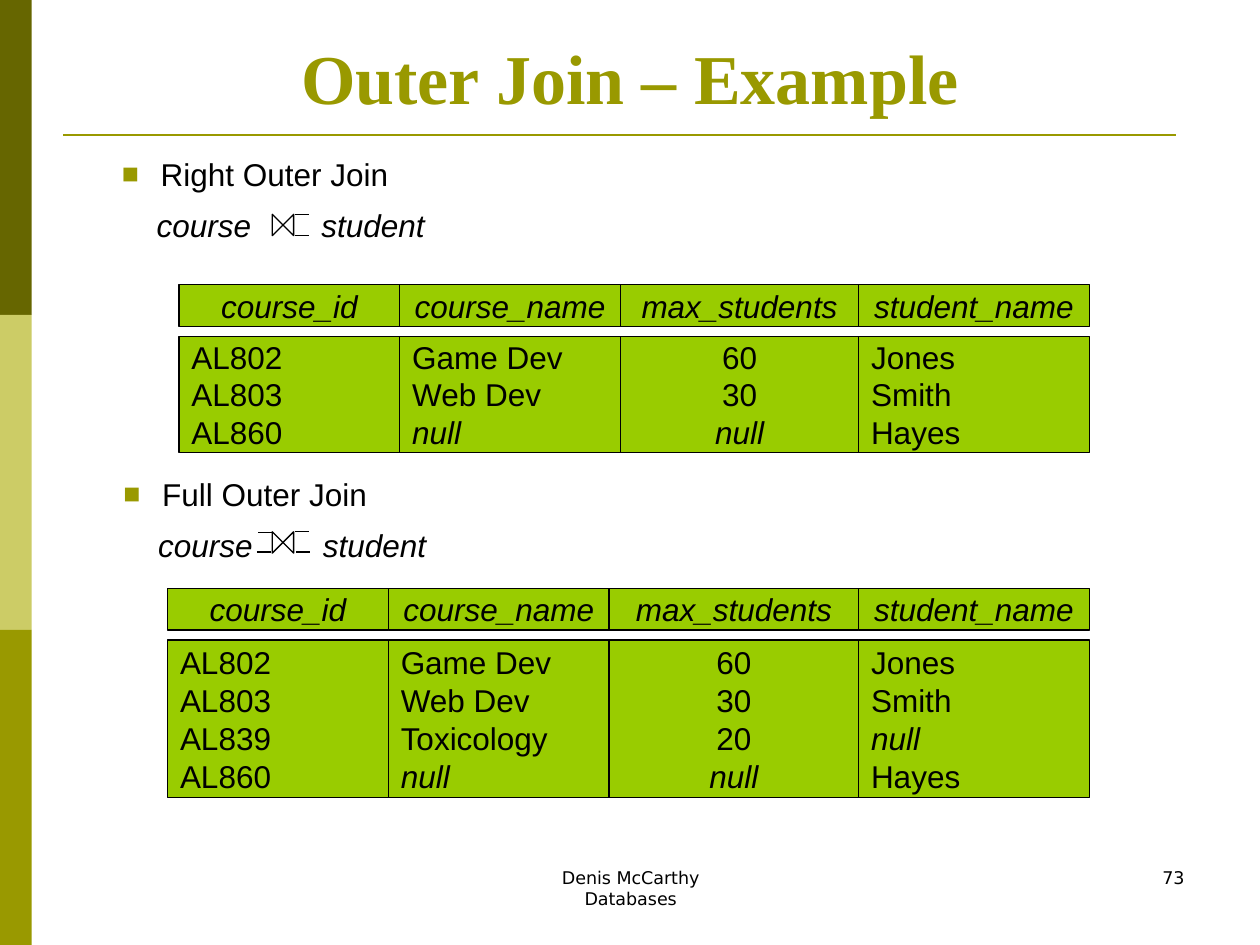
from lxml import etree
from pptx import Presentation
from pptx.dml.color import RGBColor
from pptx.enum import shapes, text
from pptx.oxml.ns import qn
from pptx.util import Cm, Pt

COLOURS = {"dark": "666600", "pale": "CCCC66", "olive": "999900",
           "cell": "99CC00", "ink": "000000"}
TITLE = "Outer Join – Example"
HEADINGS = ["course_id", "course_name", "max_students", "student_name"]
CENTRED_HEADING = "max_students"

# Lengths are in centimetres; each arm is the (left, y) of a short stroke.
JOINS = [
    {"name": "Right Outer Join", "at": (2.21, 3.0), "bowtie_top": 4.32,
     "arms": [(5.94, 4.32), (5.94, 4.75)],
     "table_at": (3.61, 5.74), "widths": [4.45, 4.45, 4.8, 4.65],
     "rows": [("AL802", "Game Dev", "60", "Jones"),
              ("AL803", "Web Dev", "30", "Smith"),
              ("AL860", "null", "null", "Hayes")]},
    {"name": "Full Outer Join", "at": (2.24, 9.45), "bowtie_top": 10.72,
     "arms": [(5.21, 10.74), (5.18, 11.13), (5.94, 10.72), (5.97, 11.13)],
     "table_at": (3.38, 11.86), "widths": [4.45, 4.45, 5.03, 4.65],
     "rows": [("AL802", "Game Dev", "60", "Jones"),
              ("AL803", "Web Dev", "30", "Smith"),
              ("AL839", "Toxicology", "20", "null"),
              ("AL860", "null", "null", "Hayes")]},
]
FOOTERS = [
    (["Denis McCarthy", "Databases"], (8.69, 17.35, 8.05, 1.27), "CENTER"),
    (["73"], (18.21, 17.35, 5.92, 1.27), "RIGHT"),
]
HEADER_HEIGHT, BODY_OFFSET, ROW_HEIGHT = 0.84, 1.04, 0.84
BOWTIE_LEFT, BOWTIE_SIZE, ARM = 5.49, 0.43, 0.28
BULLET_INDENT, EXPRESSION_TABS = 0.78, (0.7, 4.02)


def colour(name):
    return RGBColor.from_string(COLOURS[name])


def write(frame, lines, size=18, font="Arial", ink="ink", align="LEFT",
          anchor="TOP", bold=False, italics=(), wrap=True):
    """Fill a text frame, one paragraph a line; lines in italics are slanted."""
    frame.word_wrap = wrap
    frame.auto_size = text.MSO_AUTO_SIZE.NONE
    frame.vertical_anchor = text.MSO_ANCHOR[anchor]
    for i, line in enumerate(lines):
        paragraph = frame.add_paragraph() if i else frame.paragraphs[0]
        paragraph.alignment = text.PP_ALIGN[align]
        run = paragraph.add_run()
        run.text = line
        run.font.size, run.font.name = Pt(size), font
        run.font.bold, run.font.italic = bold, line in italics
        run.font.color.rgb = colour(ink)


def add_box(parent, kind, box, fill=None, outline=None):
    shape = parent.add_shape(shapes.MSO_SHAPE[kind], *map(Cm, box))
    shape.shadow.inherit = False
    if fill:
        shape.fill.solid()
        shape.fill.fore_color.rgb = colour(fill)
    else:
        shape.fill.background()
    if outline:
        shape.line.color.rgb = colour(outline)
        shape.line.width = Pt(0.75)
    else:
        shape.line.fill.background()
    return shape


def add_stroke(parent, left, y, length, ink="ink", width=0.75):
    stroke = parent.add_connector(shapes.MSO_CONNECTOR.STRAIGHT,
                                  Cm(left), Cm(y), Cm(left + length), Cm(y))
    stroke.line.color.rgb = colour(ink)
    stroke.line.width = Pt(width)
    etree.SubElement(stroke._element.spPr, qn("a:effectLst"))


def add_bullet(paragraph):
    props = paragraph._p.get_or_add_pPr()
    props.set("marL", str(Cm(BULLET_INDENT)))
    props.set("indent", str(-Cm(BULLET_INDENT)))
    tint = etree.SubElement(props, qn("a:buClr"))
    etree.SubElement(tint, qn("a:srgbClr"), val=COLOURS["olive"])
    etree.SubElement(props, qn("a:buSzPct"), val="90000")
    etree.SubElement(props, qn("a:buFont"), typeface="Arial")
    etree.SubElement(props, qn("a:buChar"), char="■")


def add_tabs(paragraph, stops):
    tabs = etree.SubElement(paragraph._p.get_or_add_pPr(), qn("a:tabLst"))
    for stop in stops:
        etree.SubElement(tabs, qn("a:tab"), pos=str(Cm(stop)), algn="l")


def add_relation(slide, join):
    """Draw each column as a heading box above a box with all its values."""
    group = slide.shapes.add_group_shape().shapes
    left, top = join["table_at"]
    body_height = ROW_HEIGHT * len(join["rows"]) - 0.18
    for heading, width, values in zip(HEADINGS, join["widths"], zip(*join["rows"])):
        header = add_box(group, "RECTANGLE", (left, top, width, HEADER_HEIGHT),
                         "cell", "ink")
        write(header.text_frame, [heading], align="CENTER", anchor="MIDDLE",
              italics=HEADINGS, wrap=False)
        body = add_box(group, "RECTANGLE",
                       (left, top + BODY_OFFSET, width, body_height), "cell", "ink")
        body.text_frame.margin_top = body.text_frame.margin_bottom = 0
        write(body.text_frame, values, anchor="MIDDLE", italics=["null"],
              align="CENTER" if heading == CENTRED_HEADING else "LEFT")
        left += width


def add_expression(slide, join):
    """Name the join and draw its operator between the two relations."""
    group = slide.shapes.add_group_shape().shapes
    label = group.add_textbox(*map(Cm, (*join["at"], 11.3, 2.06)))
    operands = "\tcourse\tstudent"
    write(label.text_frame, [join["name"], operands], italics=[operands])
    name, expression = label.text_frame.paragraphs
    add_bullet(name)
    expression.space_before = Pt(7.3)
    add_tabs(expression, EXPRESSION_TABS)
    bowtie = add_box(group, "FLOWCHART_COLLATE",
                     (BOWTIE_LEFT, join["bowtie_top"], BOWTIE_SIZE, BOWTIE_SIZE),
                     outline="ink")
    bowtie.rotation = 270
    for arm_left, y in join["arms"]:
        add_stroke(group, arm_left, y, ARM)


def main():
    deck = Presentation()
    deck.slide_width, deck.slide_height = Cm(25.4), Cm(19.05)
    slide = deck.slides.add_slide(deck.slide_layouts[5])

    for i, band in enumerate(["dark", "pale", "olive"]):
        add_box(slide.shapes, "RECTANGLE", (0, 6.35 * i, 0.64, 6.35), band)
    add_stroke(slide.shapes, 1.27, 2.72, 22.43, "olive", 1.5)

    title = slide.shapes.title
    title.left, title.top, title.width, title.height = map(Cm, (1.27, 0.76, 22.86, 1.75))
    write(title.text_frame, [TITLE], size=40, font="Times New Roman", ink="olive",
          align="CENTER", anchor="BOTTOM", bold=True)

    for join in JOINS:
        add_relation(slide, join)
        add_expression(slide, join)
    for lines, box, align in FOOTERS:
        footer = slide.shapes.add_textbox(*map(Cm, box))
        write(footer.text_frame, lines, size=10, font="DejaVu Sans", align=align)

    deck.save("out.pptx")


if __name__ == "__main__":
    main()
